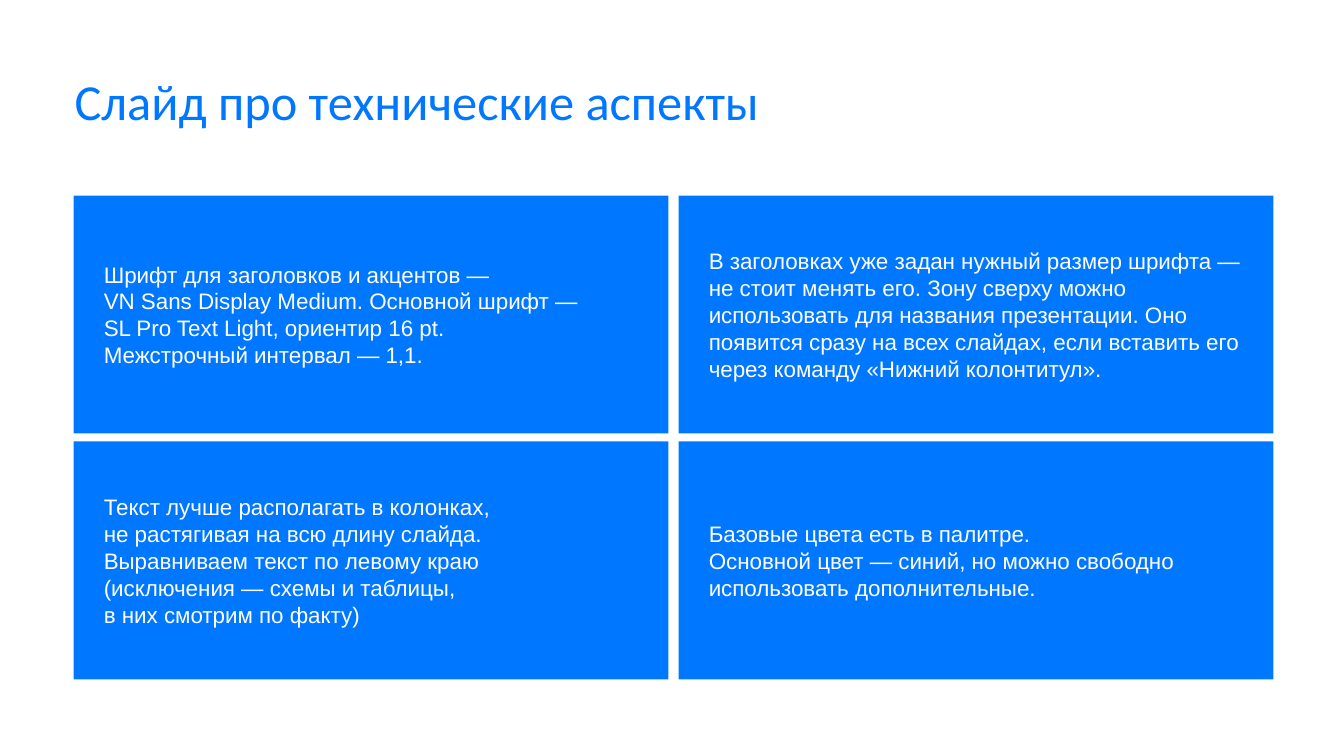
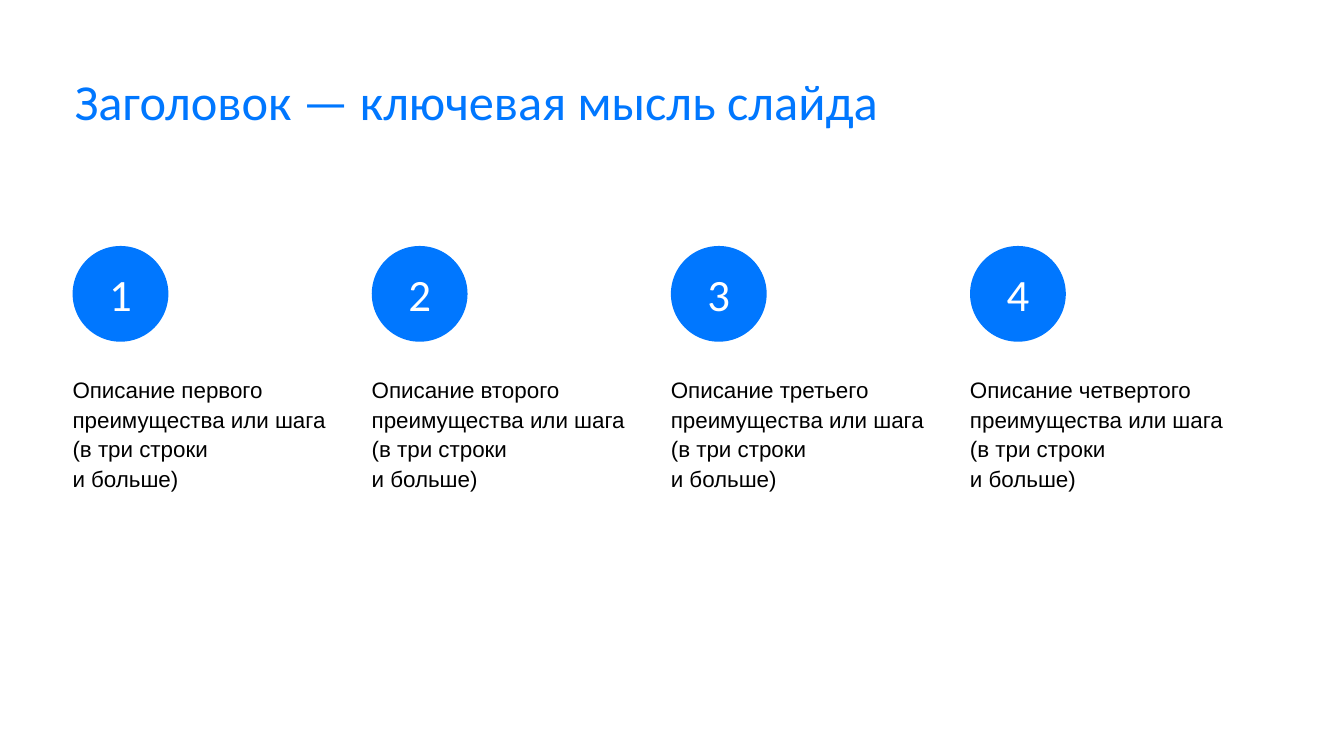
from dataclasses import dataclass
from typing import Any

from pptx import Presentation
from pptx.dml.color import RGBColor as Rgb
from pptx.enum.shapes import MSO_SHAPE as Kind
from pptx.enum.text import MSO_ANCHOR as Anchor, PP_ALIGN as Align
from pptx.util import Inches, Pt

COLORS = {"blue": "0077FF", "white": "FFFFFF", "black": "000000"}


@dataclass(frozen=True)
class Style:
    font: str
    size: int
    color: str
    spacing: float = 1.0
    align: Any = Align.LEFT
    anchor: Any = Anchor.TOP
    pad: tuple[float, float, float, float] = (0.1, 0.05, 0.1, 0.05)


@dataclass(frozen=True)
class Box:
    left: float
    top: float
    width: float
    height: float


@dataclass(frozen=True)
class Step:
    mark: str
    text: str


TITLE = Style("Calibri", 36, "blue", spacing=0.9, pad=(0, 0, 0, 0))
CARD = Style("Arial", 16, "white", anchor=Anchor.MIDDLE, pad=(0.3, 0.05, 0.1, 0.05))
BADGE = Style("Calibri", 32, "white", align=Align.CENTER, anchor=Anchor.MIDDLE)
BODY = Style("Arial", 16, "black", spacing=1.1, pad=(0, 0.05, 0.1, 0.05))

CARDS = (
    (
        "Шрифт для заголовков и акцентов —\n"
        "VN Sans Display Medium. Основной шрифт —\n"
        "SL Pro Text Light, ориентир 16 pt.\n"
        "Межстрочный интервал — 1,1.",
    ),
    (
        "В заголовках уже задан нужный размер шрифта — не стоит менять его. "
        "Зону сверху можно использовать для названия презентации. Оно появится "
        "сразу на всех слайдах, если вставить его через команду «Нижний колонтитул».",
    ),
    (
        "Текст лучше располагать в колонках,\nне растягивая на всю длину слайда.",
        "Выравниваем текст по левому краю",
        "(исключения — схемы и таблицы,\nв них смотрим по факту)",
    ),
    (
        "Базовые цвета есть в палитре.\n"
        "Основной цвет — синий, но можно свободно использовать дополнительные.",
    ),
)

STEPS = tuple(
    Step(str(num), f"Описание {word} преимущества или шага (в три строки\nи больше)")
    for num, word in enumerate(("первого", "второго", "третьего", "четвертого"), 1)
)


def tint(name: str) -> Rgb:
    return Rgb.from_string(COLORS[name])


def apply(target: Any, values: dict[str, Any]) -> None:
    for name, value in values.items():
        setattr(target, name, value)


def write(shape: Any, style: Style, *texts: str) -> None:
    frame = shape.text_frame
    left, top, right, base = map(Inches, style.pad)
    apply(frame, {
        "word_wrap": True, "vertical_anchor": style.anchor,
        "margin_left": left, "margin_top": top,
        "margin_right": right, "margin_bottom": base,
    })
    for index, text in enumerate(texts):
        para = frame.add_paragraph() if index else frame.paragraphs[0]
        para.text = text.replace("\n", "\v")
        apply(para, {"alignment": style.align, "line_spacing": style.spacing})
        apply(para.font, {"name": style.font, "size": Pt(style.size)})
        para.font.color.rgb = tint(style.color)


def place(box: Box) -> tuple[Any, ...]:
    return tuple(map(Inches, (box.left, box.top, box.width, box.height)))


def label(slide: Any, box: Box, style: Style, *texts: str) -> None:
    write(slide.shapes.add_textbox(*place(box)), style, *texts)


def block(slide: Any, kind: Any, box: Box, style: Style, *texts: str) -> None:
    shape = slide.shapes.add_shape(kind, *place(box))
    shape.shadow.inherit = False
    shape.fill.solid()
    shape.fill.fore_color.rgb = tint("blue")
    shape.line.fill.background()
    write(shape, style, *texts)


def start(deck: Any, title: str) -> Any:
    slide = deck.slides.add_slide(deck.slide_layouts[6])
    label(slide, Box(0.74, 0.76, 11.88, 0.7), TITLE, title)
    return slide


def draw_cards(deck: Any) -> None:
    slide = start(deck, "Слайд про технические аспекты")
    for index, texts in enumerate(CARDS):
        row, col = divmod(index, 2)
        box = Box(0.73 + col * 6, 1.94 + row * 2.44, 5.9, 2.36)
        block(slide, Kind.RECTANGLE, box, CARD, *texts)


def draw_steps(deck: Any) -> None:
    slide = start(deck, "Заголовок — ключевая мысль слайда")
    for index, step in enumerate(STEPS):
        left = 0.72 + index * 2.967
        block(slide, Kind.OVAL, Box(left, 2.44, 0.95, 0.95), BADGE, step.mark)
        label(slide, Box(left, 3.66, 2.74, 2.39), BODY, step.text)


def main() -> None:
    deck = Presentation()
    apply(deck, {"slide_width": Inches(13.33), "slide_height": Inches(7.5)})
    draw_cards(deck)
    draw_steps(deck)
    deck.save("out.pptx")


if __name__ == "__main__":
    main()
